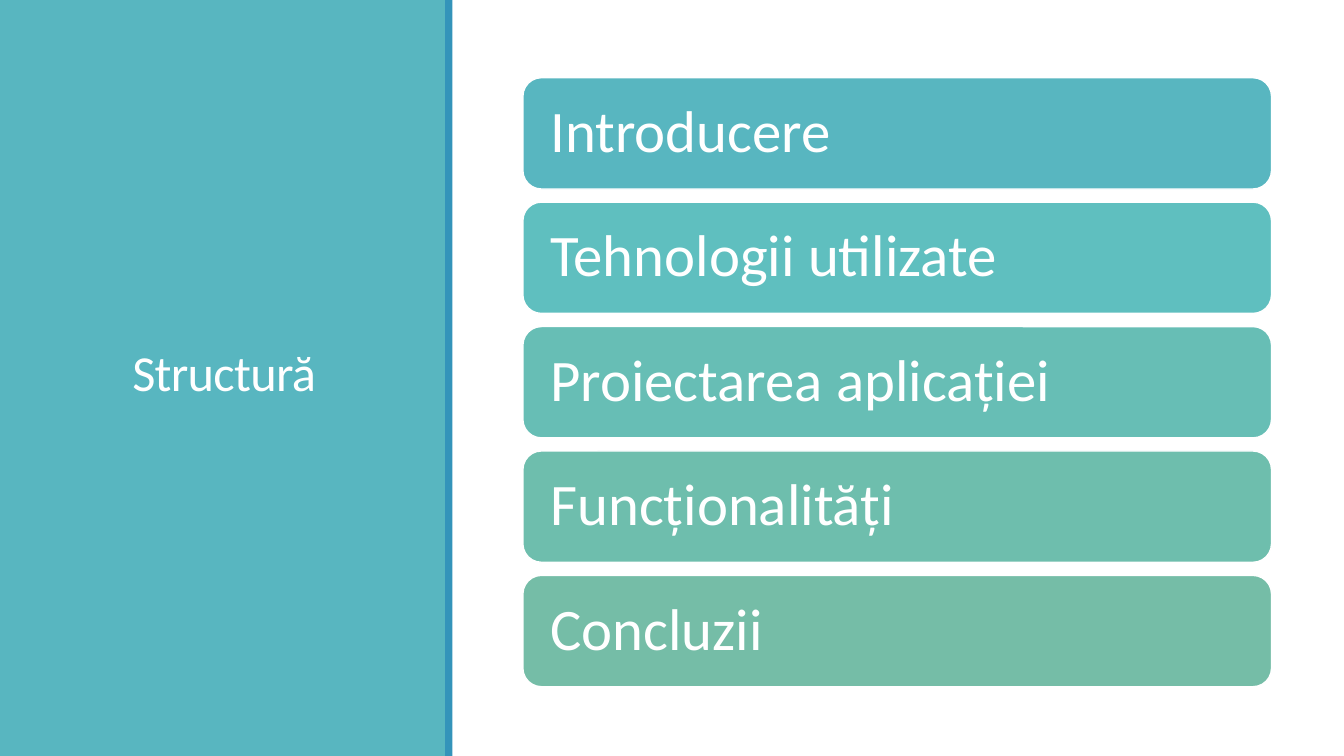
from pptx import Presentation
from pptx.dml.color import RGBColor
from pptx.enum.shapes import MSO_SHAPE
from pptx.enum.text import MSO_ANCHOR, PP_ALIGN
from pptx.util import Pt

PX = 9525  # EMU per px, 96 px to the inch
RECT, ROUNDED = MSO_SHAPE.RECTANGLE, MSO_SHAPE.ROUNDED_RECTANGLE
MIDDLE = MSO_ANCHOR.MIDDLE
LEFT, CENTER = PP_ALIGN.LEFT, PP_ALIGN.CENTER

COLORS = {"white": "FFFFFF", "panel": "58B6C0", "stripe": "3494BA"}
CHAPTERS = [
    ("Introducere", "58B6C0"),
    ("Tehnologii utilizate", "5FBFBF"),
    ("Proiectarea aplicației", "67BEB5"),
    ("Funcționalități", "6EBEAD"),
    ("Concluzii", "75BDA7"),
]


def emu(*lengths):
    return [round(n * PX) for n in lengths]


def rgb(value):
    return RGBColor.from_string(value)


def add_block(slide, kind, box, fill, outline=None):
    sp = slide.shapes.add_shape(kind, *emu(*box))
    sp.shadow.inherit = False
    sp.fill.solid()
    sp.fill.fore_color.rgb = rgb(fill)
    if outline:
        sp.line.color.rgb = rgb(outline)
        sp.line.width = Pt(1)
    else:
        sp.line.fill.background()
    return sp


def write(sp, text, size, align, spacing, inset):
    """Put one white line of text in the shape; return its run."""
    tf = sp.text_frame
    margin = emu(inset)[0]
    frame = {"word_wrap": True, "vertical_anchor": MIDDLE,
             "margin_left": margin, "margin_right": margin,
             "margin_top": margin, "margin_bottom": margin}
    for name, value in frame.items():
        setattr(tf, name, value)
    p = tf.paragraphs[0]
    p.alignment, p.line_spacing = align, spacing
    r = p.add_run()
    r.text = text
    for name, value in {"size": Pt(size), "name": "Calibri"}.items():
        setattr(r.font, name, value)
    r.font.color.rgb = rgb(COLORS["white"])
    return r


def title_panel(slide, box, title):
    x, y, w, h = box
    add_block(slide, RECT, box, COLORS["panel"])
    title_box = slide.shapes.add_textbox(*emu(x + 52, y + 55, w - 102, h - 114))
    r = write(title_box, title, 36, CENTER, 0.85, 5)
    r._r.get_or_add_rPr().set("spc", "-50")
    add_block(slide, RECT, (x + w - 1, y, 7, h), COLORS["stripe"])


def chapter_list(slide, box, chapters):
    """Stack equal cards so that they fill the box."""
    x, y, w, h = box
    card_h = 106
    pitch = (h - card_h) / (len(chapters) - 1)
    for i, (text, fill) in enumerate(chapters):
        card = add_block(slide, ROUNDED, (x, y + i * pitch, w, card_h),
                         fill, COLORS["white"])
        write(card, text, 42, LEFT, 0.9, 21)


def main():
    prs = Presentation()
    prs.slide_width, prs.slide_height = emu(1280, 720)
    slide = prs.slides.add_slide(prs.slide_layouts[6])
    title_panel(slide, (0, 0, 425, 720), "Structură")
    chapter_list(slide, (498, 74, 713, 580), CHAPTERS)
    prs.save("out.pptx")


if __name__ == "__main__":
    main()
